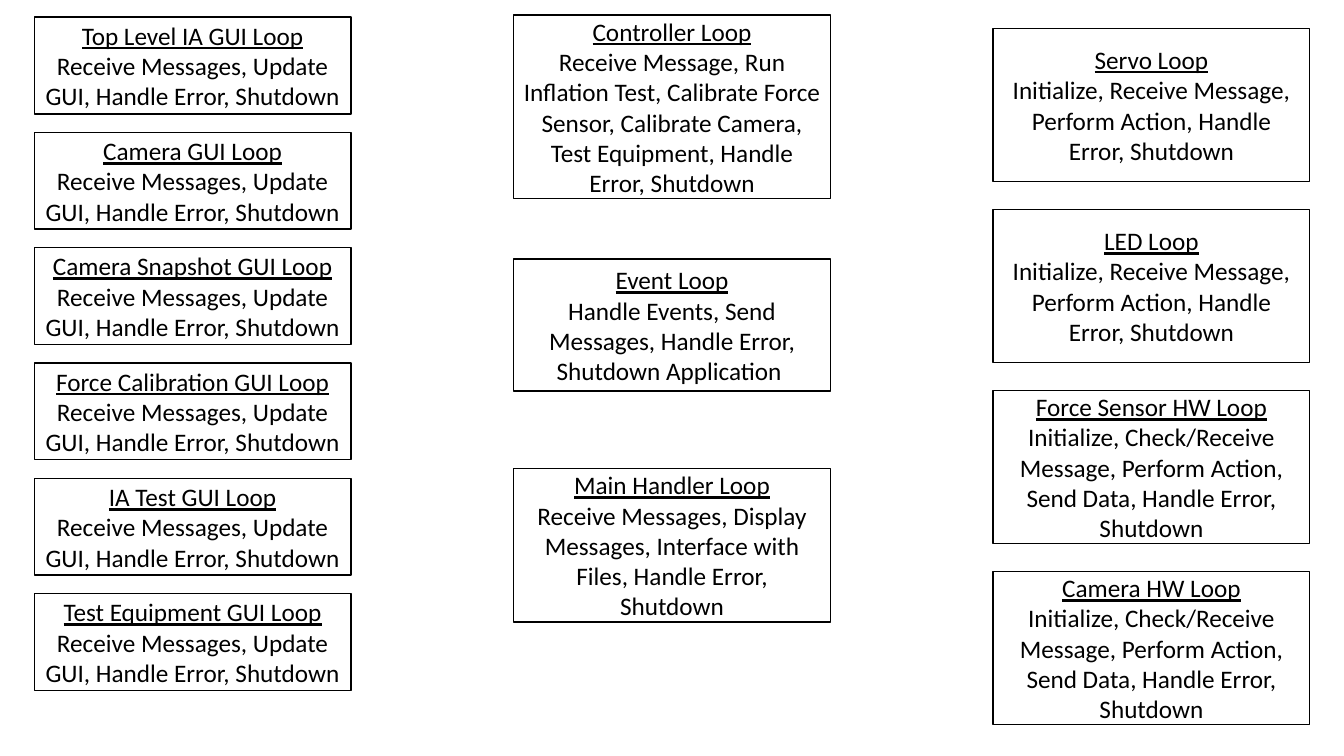
from collections import namedtuple

from pptx import Presentation
from pptx.dml.color import RGBColor
from pptx.enum.shapes import MSO_SHAPE as Shape
from pptx.enum.text import MSO_ANCHOR as Anchor, PP_ALIGN as Align
from pptx.util import Inches, Pt

Box = namedtuple("Box", "left top width height")

SLIDE_WIDTH, SLIDE_HEIGHT = Inches(13.33), Inches(7.5)
COLUMN, ROW = SLIDE_WIDTH / 100, SLIDE_HEIGHT / 100
MARGIN, LOOP_WIDTH, COLUMN_PITCH = 2.55, 23.56, 35.67
BLACK, WHITE = "000000", "FFFFFF"

GUI_TASKS = "Receive Messages, Update GUI, Handle Error, Shutdown"
ACTION_TASKS = "Initialize, Receive Message, Perform Action, Handle Error, Shutdown"
SENSOR_TASKS = ("Initialize, Check/Receive Message, Perform Action, "
                "Send Data, Handle Error, Shutdown")

GUI_LOOPS = [(f"{name} Loop", GUI_TASKS) for name in (
    "Top Level IA GUI", "Camera GUI", "Camera Snapshot GUI",
    "Force Calibration GUI", "IA Test GUI", "Test Equipment GUI")]
CONTROL_LOOPS = [
    ("Controller Loop", "Receive Message, Run Inflation Test, Calibrate Force Sensor, "
                        "Calibrate Camera, Test Equipment, Handle Error, Shutdown"),
    ("Event Loop", "Handle Events, Send Messages, Handle Error, Shutdown Application "),
    ("Main Handler Loop", "Receive Messages, Display Messages, Interface with Files, "
                          "Handle Error, Shutdown"),
]
HARDWARE_LOOPS = [
    ("Servo Loop", ACTION_TASKS),
    ("LED Loop", ACTION_TASKS),
    ("Force Sensor HW Loop", SENSOR_TASKS),
    ("Camera HW Loop", SENSOR_TASKS),
]


def color(hex_text):
    return RGBColor.from_string(hex_text)


def write(para, text, size=18, font="Calibri", ink=BLACK, underline=False, align=Align.CENTER):
    para.alignment = align
    span = para.add_run()
    span.text = text
    span.font.size = Pt(size)
    span.font.name = font
    span.font.underline = underline
    span.font.color.rgb = color(ink)


def draw_loop(page, box, title, tasks):
    card = page.shapes.add_shape(
        Shape.RECTANGLE, round(box.left * COLUMN), round(box.top * ROW),
        round(box.width * COLUMN), round(box.height * ROW))
    card.shadow.inherit = False
    card.fill.solid()
    card.fill.fore_color.rgb = color(WHITE)
    card.line.color.rgb = color(BLACK)
    card.line.width = Pt(1)
    frame = card.text_frame
    frame.word_wrap = True
    frame.vertical_anchor = Anchor.MIDDLE
    write(frame.paragraphs[0], title, underline=True)
    write(frame.add_paragraph(), tasks)


def even_rows(count, total, height):
    pitch = (total - height) / (count - 1)
    return [(index * pitch, height) for index in range(count)]


def draw_column(page, box, loops, rows):
    for (title, tasks), (offset, height) in zip(loops, rows):
        draw_loop(page, Box(box.left, box.top + offset, box.width, height), title, tasks)


def column_box(index, top, height):
    return Box(MARGIN + index * COLUMN_PITCH, top, LOOP_WIDTH, height)


def draw_loops_slide(page):
    gui = column_box(0, 2.27, 89.07)
    control = column_box(1, 2, 80.27)
    hardware = column_box(2, 3.73, 92.13)
    draw_column(page, gui, GUI_LOOPS, even_rows(len(GUI_LOOPS), gui.height, 12.8))
    draw_column(page, control, CONTROL_LOOPS, [(0, 24.27), (32.27, 17.47), (60, 20.27)])
    draw_column(page, hardware, HARDWARE_LOOPS,
                even_rows(len(HARDWARE_LOOPS), hardware.height, 20.27))


deck = Presentation()
deck.slide_width, deck.slide_height = SLIDE_WIDTH, SLIDE_HEIGHT
draw_loops_slide(deck.slides.add_slide(deck.slide_layouts[6]))
deck.save("out.pptx")
